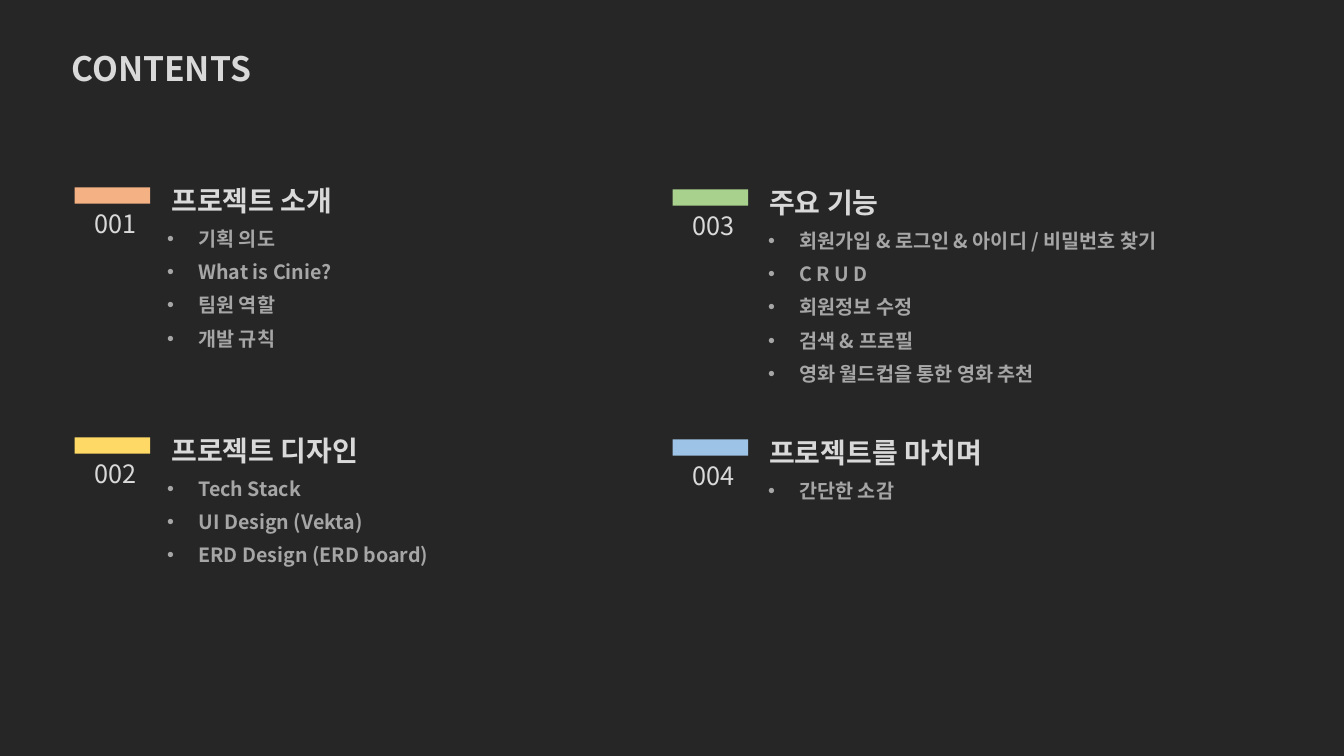
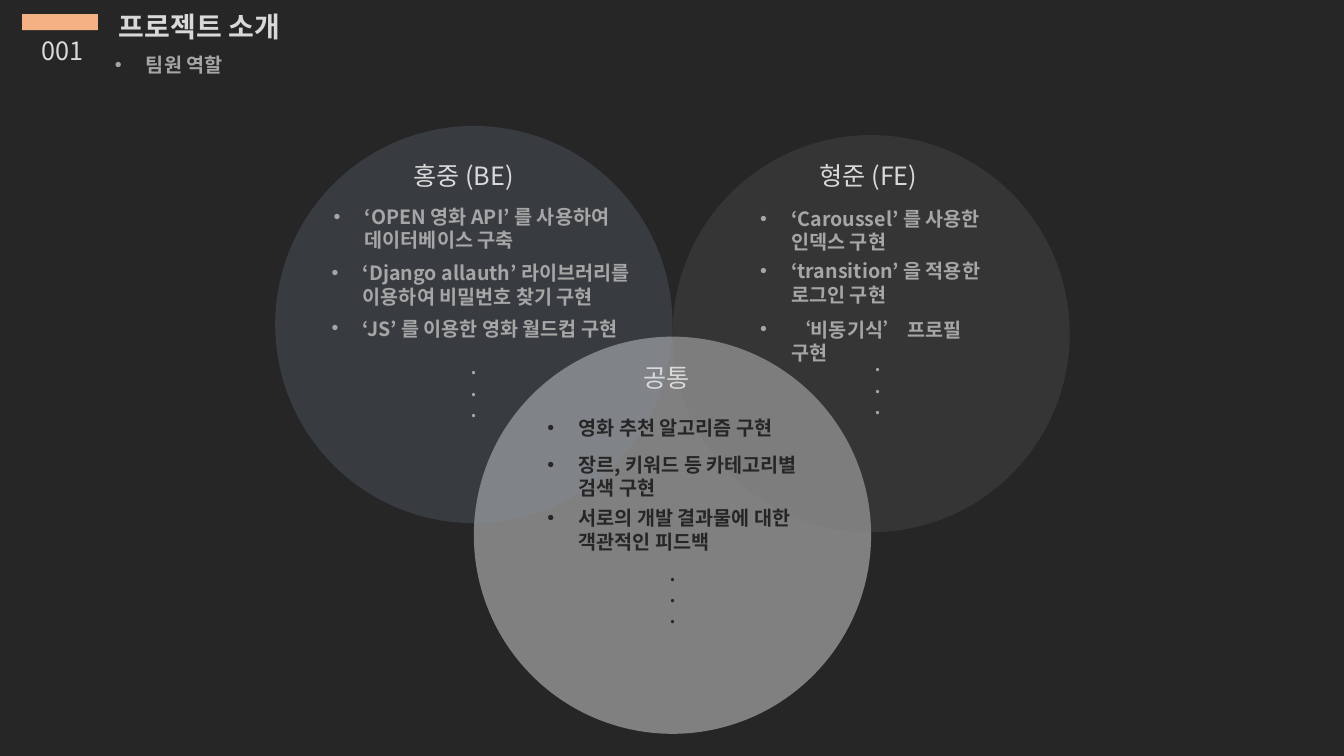
import pptx
import pptx.util
import pptx.dml.color
import pptx.enum.shapes
import pptx.enum.text
import pptx.oxml.ns
from lxml import etree

Inches = pptx.util.Inches
RGBColor = pptx.dml.color.RGBColor
SHAPE = pptx.enum.shapes.MSO_SHAPE
ALIGN = pptx.enum.text.PP_ALIGN
qn = pptx.oxml.ns.qn

FONT = "Noto Sans CJK KR"
DARK = RGBColor(0x26, 0x26, 0x26)
LIGHT = RGBColor(0xD9, 0xD9, 0xD9)
GREY = RGBColor(0xA6, 0xA6, 0xA6)
ORANGE = RGBColor(0xF4, 0xB1, 0x83)
YELLOW = RGBColor(0xFF, 0xD9, 0x66)
GREEN = RGBColor(0xA9, 0xD1, 0x8E)
BLUE = RGBColor(0x9D, 0xC3, 0xE6)
MID_GREY = RGBColor(0x80, 0x80, 0x80)
SLATE = RGBColor(0x84, 0x97, 0xB0)
TAUPE = RGBColor(0x76, 0x71, 0x71)

# Text styles
TITLE = {"size": pptx.util.Pt(24), "bold": True}
HEADING = {"size": pptx.util.Pt(20), "bold": True}
LABEL = {"size": pptx.util.Pt(18), "bold": False}
ITEM = {"size": pptx.util.Pt(14), "bold": True}

ITEM_STEP = 0.33
DOT_STEP = 0.21


def add_text(s, x, y, w, h, text, style, color=LIGHT, align=ALIGN.LEFT):
    tf = s.shapes.add_textbox(Inches(x), Inches(y), Inches(w), Inches(h)).text_frame
    tf.word_wrap = True
    tf.auto_size = pptx.enum.text.MSO_AUTO_SIZE.SHAPE_TO_FIT_TEXT
    p = tf.paragraphs[0]
    p.alignment = align
    if style is ITEM:
        pPr = p._p.get_or_add_pPr()
        pPr.set("marL", str(Inches(0.31)))
        pPr.set("indent", str(Inches(-0.31)))
        etree.SubElement(pPr, qn("a:buFont"), typeface="Arial")
        etree.SubElement(pPr, qn("a:buChar"), char="•")
    r = p.add_run()
    r.text = text
    for name, value in {**style, "name": FONT}.items():
        setattr(r.font, name, value)
    r.font.color.rgb = color
    etree.SubElement(r._r.get_or_add_rPr(), qn("a:ea"), typeface=FONT)


def add_section(s, x, y, item_dx, color, number, heading, items):
    bar = s.shapes.add_shape(SHAPE.RECTANGLE, Inches(x), Inches(y), Inches(0.75), Inches(0.16))
    bar.shadow.inherit = False
    bar.fill.solid()
    bar.fill.fore_color.rgb = color
    bar.line.fill.background()
    add_text(s, x, y + 0.16, 0.71, 0.4, number, LABEL, align=ALIGN.RIGHT)
    add_text(s, x + 0.86, y - 0.09, 2.55, 0.44, heading, HEADING)
    for i, item in enumerate(items):
        add_text(s, x + item_dx, y + 0.34 + i * ITEM_STEP, 4.93, 0.34, item, ITEM, GREY)


prs = pptx.Presentation()
prs.slide_width, prs.slide_height = Inches(13.33), Inches(7.5)
slides = []
for _ in range(2):
    s = prs.slides.add_slide(prs.slide_layouts[6])
    s.background.fill.solid()
    s.background.fill.fore_color.rgb = DARK
    slides.append(s)
contents, roles = slides

# Contents
add_text(contents, 0.61, 0.43, 2.09, 0.5, "CONTENTS", TITLE)
sections = [
    (0.74, 1.86, 0.82, ORANGE, "001", "프로젝트 소개",
     ["기획 의도", "What is Cinie?", "팀원 역할", "개발 규칙"]),
    (0.74, 4.34, 0.82, YELLOW, "002", "프로젝트 디자인",
     ["Tech Stack", "UI Design (Vekta)", "ERD Design (ERD board)"]),
    (6.67, 1.88, 0.85, GREEN, "003", "주요 기능",
     ["회원가입 & 로그인 & 아이디 / 비밀번호 찾기", "C R U D", "회원정보 수정",
      "검색 & 프로필", "영화 월드컵을 통한 영화 추천"]),
    (6.67, 4.36, 0.85, BLUE, "004", "프로젝트를 마치며", ["간단한 소감"]),
]
for section in sections:
    add_section(contents, *section)

# Team roles: overlapping circles
for x, y, color, alpha in [(4.7, 3.34, MID_GREY, 100), (2.73, 1.25, SLATE, 20),
                           (6.67, 1.34, TAUPE, 20)]:
    circle = roles.shapes.add_shape(SHAPE.OVAL, Inches(x), Inches(y), Inches(3.94), Inches(3.94))
    circle.shadow.inherit = False
    circle.fill.solid()
    circle.fill.fore_color.rgb = color
    circle.line.fill.background()
    if alpha < 100:
        clr = circle._element.spPr.find(qn("a:solidFill"))[0]
        etree.SubElement(clr, qn("a:alpha"), val=str(alpha * 1000))

add_section(roles, 0.22, 0.14, 0.82, ORANGE, "001", "프로젝트 소개", ["팀원 역할"])

# Team roles: name (x, y, width, text), text colour, first dot, tasks (x, y, width, text)
members = [
    ((4, 1.54, 1.4, "홍중 (BE)"), GREY, (4.57, 3.42), [
        (3.21, 1.98, 2.98, "‘OPEN 영화 API’ 를 사용하여 데이터베이스 구축"),
        (3.19, 2.54, 3.29, "‘Django allauth’ 라이브러리를 이용하여 비밀번호 찾기 구현"),
        (3.19, 3.09, 3.29, "‘JS’ 를 이용한 영화 월드컵 구현")]),
    ((8.03, 1.54, 1.37, "형준 (FE)"), GREY, (8.58, 3.39), [
        (7.44, 2, 2.54, "‘Caroussel’ 를 사용한 인덱스 구현"),
        (7.44, 2.52, 2.54, "‘transition’ 을 적용한 로그인 구현"),
        (7.44, 3.1, 2.54, "‘비동기식’ 프로필 구현")]),
    ((6.28, 3.55, 0.78, "공통"), DARK, (6.54, 5.47), [
        (5.33, 4.08, 2.67, "영화 추천 알고리즘 구현"),
        (5.33, 4.44, 2.93, "장르, 키워드 등 카테고리별 검색 구현"),
        (5.33, 4.97, 2.93, "서로의 개발 결과물에 대한 객관적인 피드백")]),
]
for (x, y, w, name), color, (dot_x, dot_y), tasks in members:
    add_text(roles, x, y, w, 0.4, name, LABEL)
    for x, y, w, task in tasks:
        add_text(roles, x, y, w, 0.34, task, ITEM, color)
    for i in range(3):
        add_text(roles, dot_x, dot_y + i * DOT_STEP, 0.26, 0.4, ".", LABEL, color)

prs.save("out.pptx")
